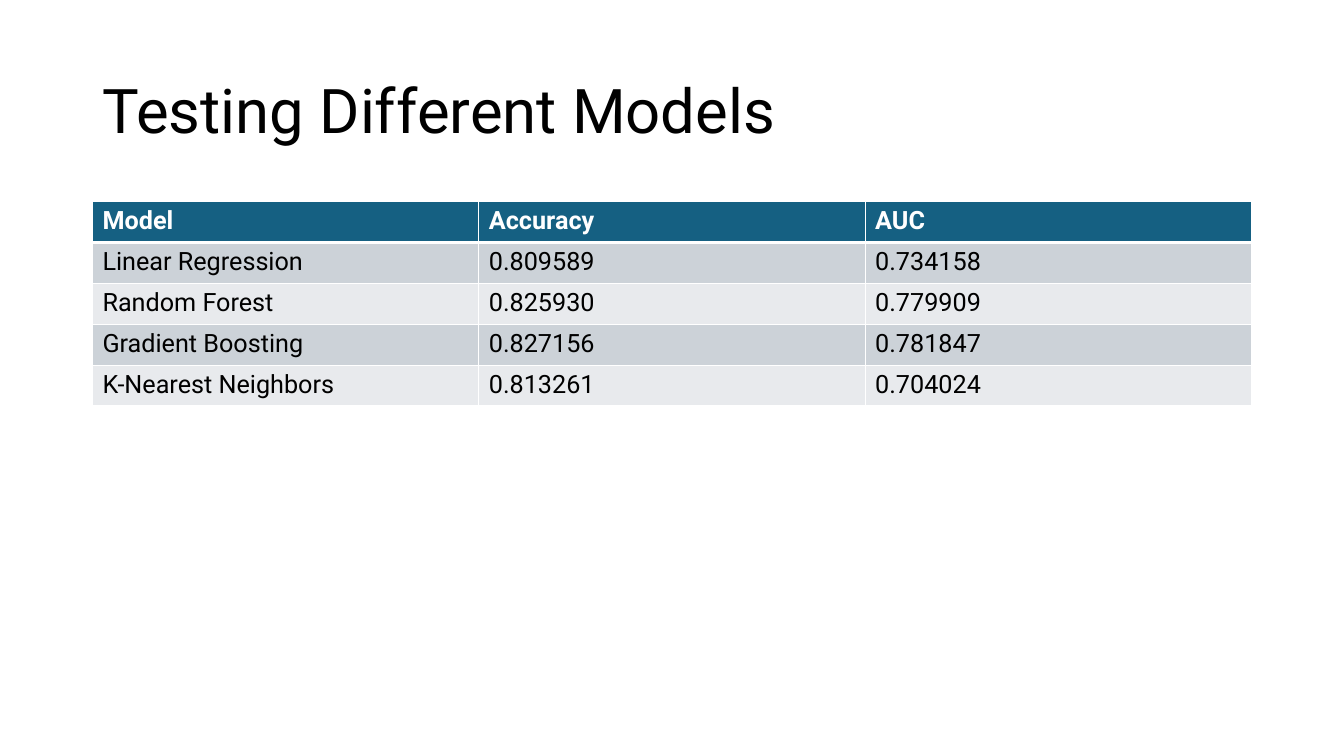
from lxml.etree import SubElement
from pptx import Presentation
from pptx.dml.color import RGBColor
from pptx.enum.text import MSO_ANCHOR as Anchor, PP_ALIGN as Align
from pptx.oxml.ns import qn
from pptx.util import Cm, Pt

BLACK = RGBColor(0x00, 0x00, 0x00)
WHITE = RGBColor(0xFF, 0xFF, 0xFF)
HEADER_BLUE = RGBColor(0x15, 0x60, 0x82)
BAND_DARK = RGBColor(0xCC, 0xD2, 0xD8)
BAND_LIGHT = RGBColor(0xE8, 0xEA, 0xED)

RESULTS = [
    ("Model", "Accuracy", "AUC"),
    ("Linear Regression", "0.809589", "0.734158"),
    ("Random Forest", "0.825930", "0.779909"),
    ("Gradient Boosting", "0.827156", "0.781847"),
    ("K-Nearest Neighbors", "0.813261", "0.704024"),
]


def write_text(frame, text, font="Roboto", size=18, color=BLACK, bold=False, spacing=1.0):
    para = frame.paragraphs[0]
    para.alignment = Align.LEFT
    para.line_spacing = spacing
    span = para.add_run()
    span.text = text
    span.font.name = font
    span.font.size = Pt(size)
    span.font.color.rgb = color
    span.font.bold = bold


def set_borders(cell, color=WHITE, **widths):
    properties = cell._tc.get_or_add_tcPr()
    for side in ("L", "R", "T", "B"):
        line = SubElement(properties, qn(f"a:ln{side}"), w=str(Pt(widths.get(side, 1))))
        fill = SubElement(line, qn("a:solidFill"))
        SubElement(fill, qn("a:srgbClr"), val=str(color))


class SlideBuilder:
    left = Cm(2.33)
    width = Cm(29.21)

    def __init__(self, deck):
        self.page = deck.slides.add_slide(deck.slide_layouts[5])

    def title(self, text, top, height):
        box = self.page.shapes.title
        box.left, box.top, box.width, box.height = self.left, top, self.width, height
        box.text_frame.word_wrap = True
        box.text_frame.vertical_anchor = Anchor.MIDDLE
        write_text(box.text_frame, text, size=44, spacing=0.9)

    def table(self, rows, top, row_height):
        frame = self.page.shapes.add_table(
            len(rows), len(rows[0]), self.left, top, self.width, row_height * len(rows))
        for row_index, values in enumerate(rows):
            header = row_index == 0
            band = BAND_DARK if row_index % 2 else BAND_LIGHT
            for column_index, value in enumerate(values):
                cell = frame.table.cell(row_index, column_index)
                set_borders(cell, T=3 if row_index == 1 else 1, B=3 if header else 1)
                cell.fill.solid()
                cell.fill.fore_color.rgb = HEADER_BLUE if header else band
                write_text(cell.text_frame, value, color=WHITE if header else BLACK, bold=header)


def main():
    deck = Presentation()
    deck.slide_width, deck.slide_height = Cm(33.87), Cm(19.05)
    builder = SlideBuilder(deck)
    builder.title("Testing Different Models", top=Cm(1.01), height=Cm(3.68))
    builder.table(RESULTS, top=Cm(5.08), row_height=Cm(1.03))
    deck.save("out.pptx")


if __name__ == "__main__":
    main()
